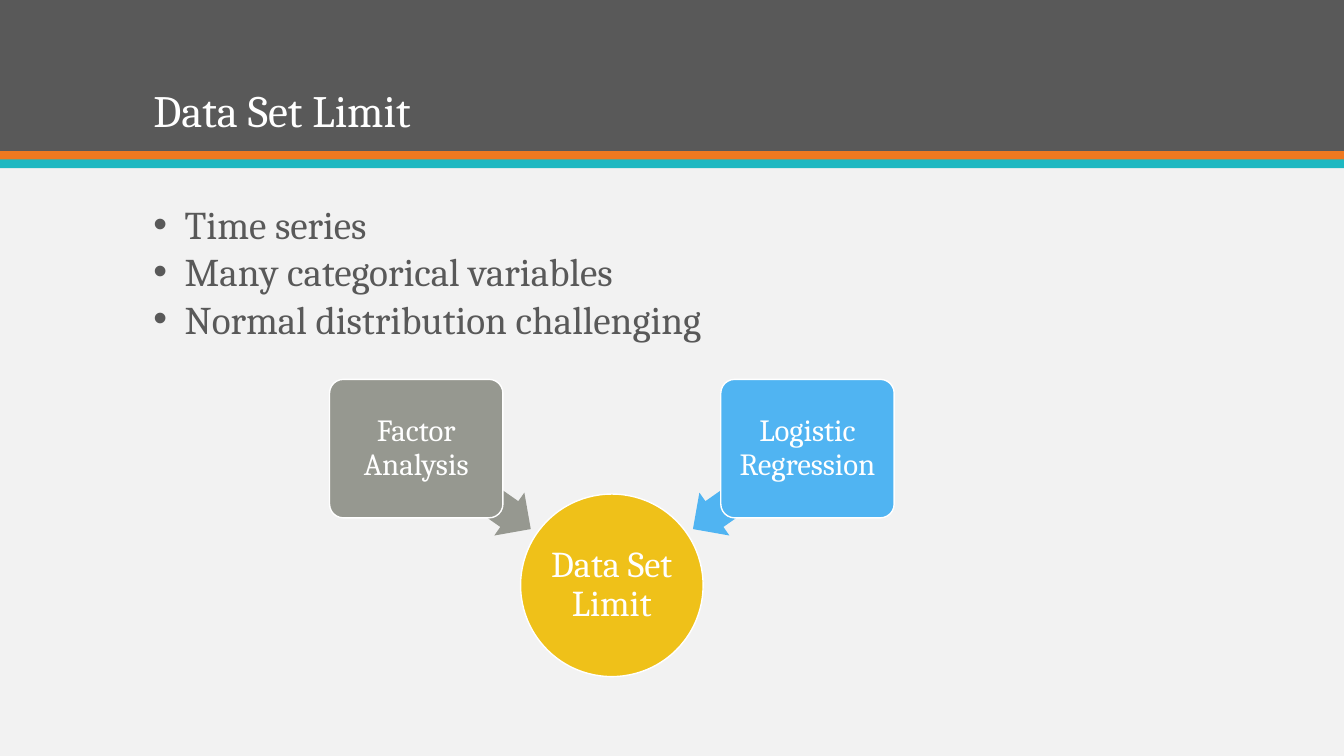
from lxml import etree
from pptx import Presentation
from pptx.dml.color import RGBColor
from pptx.enum import shapes, text
from pptx.oxml import ns
from pptx.util import Cm, Pt

WHITE = RGBColor(0xFF, 0xFF, 0xFF)
PALE = RGBColor(0xF2, 0xF2, 0xF2)
DARK = RGBColor(0x59, 0x59, 0x59)
ORANGE = RGBColor(0xEF, 0x79, 0x20)
TEAL = RGBColor(0x1E, 0xB8, 0xC1)
YELLOW = RGBColor(0xEF, 0xC1, 0x19)
GREY = RGBColor(0x96, 0x98, 0x90)
BLUE = RGBColor(0x50, 0xB4, 0xF2)

FONT = "Cambria"
TITLE = "Data Set Limit"
BULLETS = ["Time series", "Many categorical variables", "Normal distribution challenging"]
BANDS = [(0, 3.81, DARK), (3.81, 0.22, ORANGE), (4.02, 0.22, TEAL)]
METHODS = [("Factor Analysis", GREY, -1, 215), ("Logistic Regression", BLUE, 1, 325)]

SLIDE_W, SLIDE_H = 33.87, 19.05
AXIS = 15.42
HUB_TOP, HUB = 12.45, 4.6
BOX_TOP, BOX_W, BOX_H, BOX_SHIFT = 9.56, 4.37, 3.49, 4.93
ARROW_TOP, ARROW_W, ARROW_H, ARROW_SHIFT = 11.66, 3.53, 1.32, 3.49
INDENT = Cm(0.79)


def add_shape(kind, left, top, width, height, color, outlined=False):
    sp = s.shapes.add_shape(kind, Cm(left), Cm(top), Cm(width), Cm(height))
    sp.shadow.inherit = False
    sp.fill.solid()
    sp.fill.fore_color.rgb = color
    if outlined:
        sp.line.color.rgb = WHITE
        sp.line.width = Pt(1)
    else:
        sp.line.fill.background()
    return sp


def style(p, size, color, align, spacing):
    p.font.name = FONT
    p.font.size = Pt(size)
    p.font.color.rgb = color
    p.alignment = align
    p.line_spacing = spacing
    p.space_before = Pt(0)


def label(sp, words, size, inset):
    tf = sp.text_frame
    tf.text = words
    tf.word_wrap = True
    tf.vertical_anchor = text.MSO_ANCHOR.MIDDLE
    tf.margin_left = tf.margin_right = tf.margin_top = tf.margin_bottom = Cm(inset)
    style(tf.paragraphs[0], size, WHITE, text.PP_ALIGN.CENTER, 0.9)


def place(sp, left, top, width, height, anchor):
    sp.left, sp.top, sp.width, sp.height = Cm(left), Cm(top), Cm(width), Cm(height)
    sp.text_frame.auto_size = text.MSO_AUTO_SIZE.NONE
    sp.text_frame.word_wrap = True
    sp.text_frame.vertical_anchor = anchor
    return sp.text_frame


prs = Presentation()
prs.slide_width, prs.slide_height = Cm(SLIDE_W), Cm(SLIDE_H)
s = prs.slides.add_slide(prs.slide_layouts[1])
s.background.fill.solid()
s.background.fill.fore_color.rgb = PALE

for i, (top, height, color) in enumerate(BANDS):
    sp = add_shape(shapes.MSO_SHAPE.RECTANGLE, 0, top, SLIDE_W, height, color)
    s.shapes._spTree.insert(2 + i, sp._element)

tf = place(s.shapes.title, 3.61, 0.71, 26.67, 2.87, text.MSO_ANCHOR.BOTTOM)
tf.text = TITLE
style(tf.paragraphs[0], 32, WHITE, text.PP_ALIGN.LEFT, 0.9)

tf = place(s.placeholders[1], 3.61, 4.93, 20.04, 4.62, text.MSO_ANCHOR.TOP)
tf.text = "\n".join(BULLETS)
for p in tf.paragraphs:
    style(p, 28, DARK, text.PP_ALIGN.LEFT, 1.0)
    pPr = p._p.get_or_add_pPr()
    pPr.set("marL", str(INDENT))
    pPr.set("indent", str(-INDENT))
    bullet_font = etree.Element(ns.qn("a:buFont"), typeface="Arial")
    bullet = etree.Element(ns.qn("a:buChar"), char="•")
    pPr.find(ns.qn("a:defRPr")).addprevious(bullet_font)
    bullet_font.addnext(bullet)

hub = add_shape(shapes.MSO_SHAPE.OVAL, AXIS - HUB / 2, HUB_TOP, HUB, HUB, YELLOW, True)
label(hub, TITLE, 26, 0.05)

for name, color, side, angle in METHODS:
    arrow = add_shape(shapes.MSO_SHAPE.LEFT_ARROW, AXIS + side * ARROW_SHIFT - ARROW_W / 2,
                      ARROW_TOP, ARROW_W, ARROW_H, color)
    arrow.rotation = angle
    arrow.adjustments[0] = 0.6
    arrow.adjustments[1] = 0.5
    box = add_shape(shapes.MSO_SHAPE.ROUNDED_RECTANGLE, AXIS + side * BOX_SHIFT - BOX_W / 2,
                    BOX_TOP, BOX_W, BOX_H, color, True)
    box.adjustments[0] = 0.1
    label(box, name, 22, 0.12)

prs.save("out.pptx")
